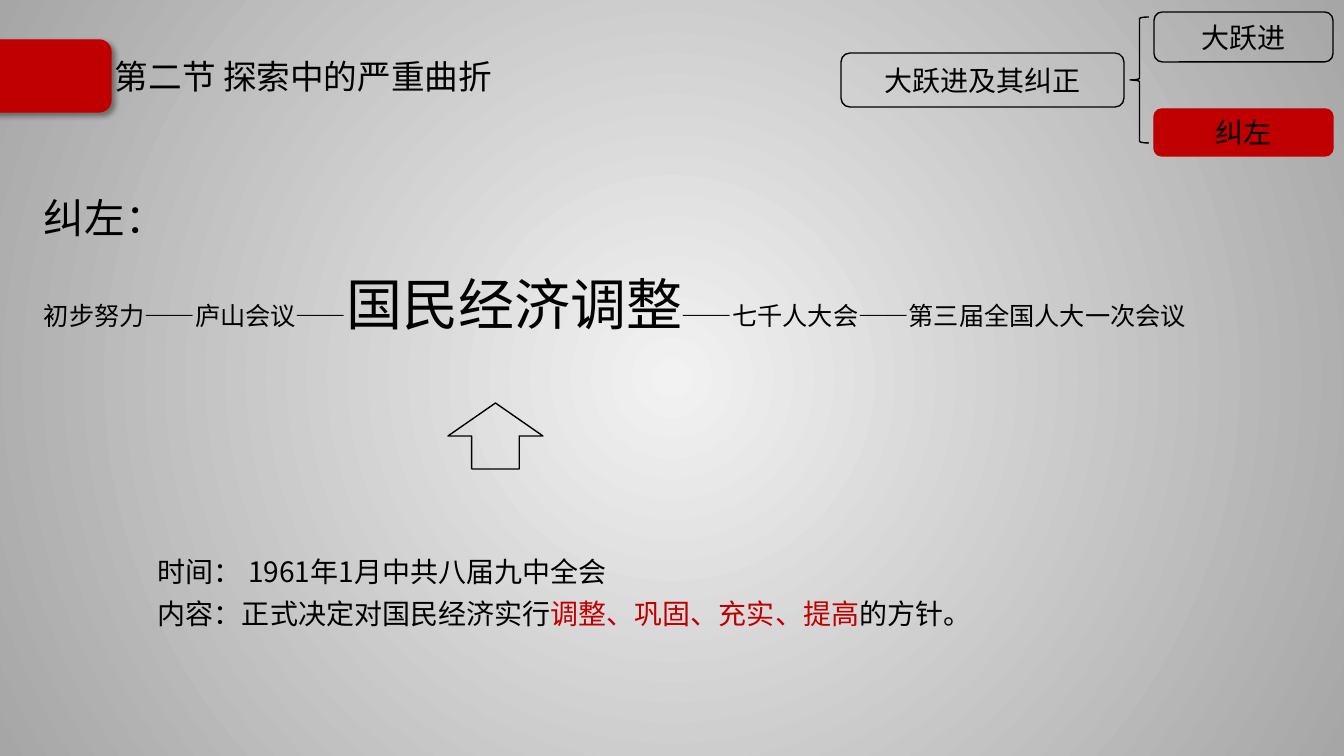
import lxml.etree
import pptx
import pptx.dml.color
import pptx.enum.shapes
import pptx.enum.text
import pptx.oxml
import pptx.oxml.ns
import pptx.util
from dataclasses import dataclass

SHAPE = pptx.enum.shapes.MSO_SHAPE
ALIGN = pptx.enum.text.PP_ALIGN
ANCHOR = pptx.enum.text.MSO_ANCHOR
qn = pptx.oxml.ns.qn
NS = pptx.oxml.ns.nsdecls("a")
EMU_PER_PX = 914400 / 100.8


@dataclass(frozen=True)
class Theme:
    ink: str = "000000"
    accent: str = "C00000"
    glow: str = "F2F2F2"
    edge: str = "A6A6A6"
    title_font: str = "Noto Sans CJK JP"
    body_font: str = "Noto Sans CJK SC"
    title_size: int = 24
    heading_size: int = 29
    focus_size: int = 40
    chain_size: int = 18
    label_size: int = 20
    outline: int = 1


THEME = Theme()


def px(length):
    return pptx.util.Emu(round(length * EMU_PER_PX))


def rgb(value):
    return pptx.dml.color.RGBColor.from_string(value)


def apply(target, values):
    for key, value in values.items():
        setattr(target, key, value)


def paint_background(slide):
    """Fill the slide with a gradient that spreads from its centre."""
    fill = slide.background.fill
    fill.gradient()
    for stop, color, position in zip(fill.gradient_stops, (THEME.glow, THEME.edge), (0, 1)):
        apply(stop, {"position": position})
        stop.color.rgb = rgb(color)
    gradient = slide.background._cSld.find(".//" + qn("a:gradFill"))
    gradient.replace(gradient.find(qn("a:lin")), pptx.oxml.parse_xml(
        f'<a:path {NS} path="circle">'
        '<a:fillToRect l="50000" t="50000" r="50000" b="50000"/></a:path>'))


def add_run(paragraph, text, size, color=THEME.ink, font=THEME.body_font):
    run = paragraph.add_run()
    run.text = text
    apply(run.font, {"size": pptx.util.Pt(size), "name": font})
    run.font.color.rgb = rgb(color)
    east_asian = lxml.etree.SubElement(run.font._element, qn("a:ea"))
    east_asian.set("typeface", font)


def add_text(slide, box, paragraphs, spacing, gap=0, anchor=ANCHOR.TOP):
    """Add a text box; each paragraph is a list of add_run argument tuples."""
    frame = slide.shapes.add_textbox(*map(px, box)).text_frame
    apply(frame, {"word_wrap": True, "vertical_anchor": anchor})
    for index, runs in enumerate(paragraphs):
        paragraph = frame.add_paragraph() if index else frame.paragraphs[0]
        apply(paragraph, {"line_spacing": spacing,
                          "space_before": pptx.util.Pt(gap if index else 0)})
        for run in runs:
            add_run(paragraph, *run)


def add_figure(shapes, kind, box, fill=None, label=None):
    figure = shapes.add_shape(kind, *map(px, box))
    figure.shadow.inherit = False
    if fill:
        figure.fill.solid()
        figure.fill.fore_color.rgb = rgb(fill)
    else:
        figure.fill.background()
    figure.line.color.rgb = rgb(fill or THEME.ink)
    figure.line.width = pptx.util.Pt(THEME.outline)
    if label:
        apply(figure.text_frame, {"word_wrap": True, "vertical_anchor": ANCHOR.MIDDLE})
        paragraph = figure.text_frame.paragraphs[0]
        paragraph.alignment = ALIGN.CENTER
        add_run(paragraph, label, THEME.label_size)
    return figure


def cast_shadow(figure):
    effects = figure._element.spPr.find(qn("a:effectLst"))
    effects.append(pptx.oxml.parse_xml(
        f'<a:outerShdw {NS} blurRad="50800" dist="38100" dir="2700000" algn="tl" '
        'rotWithShape="0"><a:srgbClr val="000000"><a:alpha val="40000"/>'
        '</a:srgbClr></a:outerShdw>'))


def add_topic_tree(slide):
    tree = slide.shapes.add_group_shape().shapes
    add_figure(tree, SHAPE.ROUNDED_RECTANGLE, (841, 53, 283, 54), label="大跃进及其纠正")
    add_figure(tree, SHAPE.LEFT_BRACE, (1130, 17, 19, 126))
    add_figure(tree, SHAPE.ROUNDED_RECTANGLE, (1154, 12, 179, 50), label="大跃进")
    add_figure(tree, SHAPE.ROUNDED_RECTANGLE, (1154, 109, 179, 47), THEME.accent, "纠左")


def main():
    deck = pptx.Presentation()
    apply(deck, {"slide_width": px(1344), "slide_height": px(756)})
    slide = deck.slides.add_slide(deck.slide_layouts[6])
    paint_background(slide)

    cast_shadow(add_figure(slide.shapes, SHAPE.ROUNDED_RECTANGLE,
                           (-18, 40, 129, 72), THEME.accent))
    title = ("第二节 探索中的严重曲折", THEME.title_size, THEME.ink, THEME.title_font)
    add_text(slide, (105, 49, 517, 59), [[title]], spacing=0.9, anchor=ANCHOR.MIDDLE)
    add_topic_tree(slide)

    add_text(slide, (34, 175, 1274, 200), [
        [("纠左：", THEME.heading_size)],
        [("初步努力——庐山会议——", THEME.chain_size),
         ("国民经济调整", THEME.focus_size),
         ("——七千人大会——第三届全国人大一次会议", THEME.chain_size)],
    ], spacing=1.26, gap=8)
    add_figure(slide.shapes, SHAPE.UP_ARROW, (448, 403, 95, 66))
    add_text(slide, (148, 541, 1160, 115), [
        [("时间： 1961年1月中共八届九中全会", THEME.label_size)],
        [("内容：正式决定对国民经济实行", THEME.label_size),
         ("调整、巩固、充实、提高", THEME.label_size, THEME.accent),
         ("的方针。", THEME.label_size)],
    ], spacing=1.26)
    deck.save("out.pptx")


if __name__ == "__main__":
    main()
